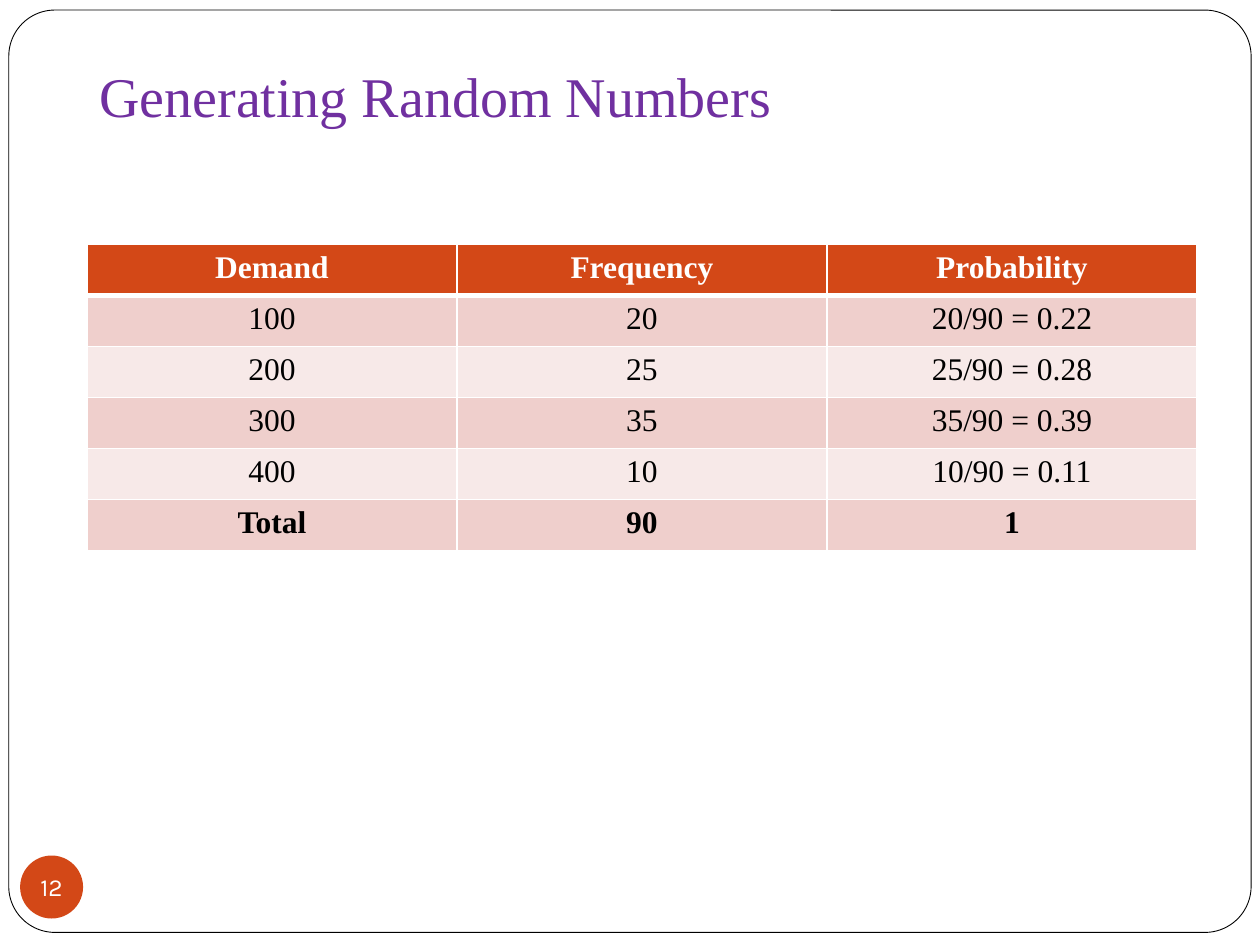
from lxml import etree
from pptx import Presentation
from pptx.dml.color import RGBColor
from pptx.enum.shapes import MSO_SHAPE
from pptx.enum.text import MSO_ANCHOR, PP_ALIGN
from pptx.oxml.ns import qn
from pptx.util import Inches, Pt

ROUNDED, OVAL = MSO_SHAPE.ROUNDED_RECTANGLE, MSO_SHAPE.OVAL
LEFT, CENTER = PP_ALIGN.LEFT, PP_ALIGN.CENTER
MIDDLE, BOTTOM = MSO_ANCHOR.MIDDLE, MSO_ANCHOR.BOTTOM

TITLE = "Generating Random Numbers"
PAGE = "12"
ROWS = [
    ("Demand", "Frequency", "Probability"),
    ("100", "20", "20/90 = 0.22"),
    ("200", "25", "25/90 = 0.28"),
    ("300", "35", "35/90 = 0.39"),
    ("400", "10", "10/90 = 0.11"),
    ("Total", "90", "1"),
]

THEME = {
    "serif": "Times New Roman", "sans": "Karla",
    "white": "FFFFFF", "black": "000000", "title": "7030A0",
    "accent": "D34817", "bands": ("EFCFCC", "F7E9E8"),
    "title_size": 32, "cell_size": 18, "page_size": 14,
    "frame_line": 0.5, "rule": 1, "header_rule": 3,
}
W, H = 10, 7.5
FRAME = (0.07, 0.08, 9.86, 7.32)
TITLE_BOX = (0.69, -0.13, 8.5, 1.25)
BADGE = (0.16, 6.79, 0.5, 0.5)
TABLE = (0.69, 1.94, 8.81, 2.43)


def inches(box):
    return [Inches(v) for v in box]


def rgb(color):
    return RGBColor.from_string(color)


def write(tf, text, size, color, font, align=CENTER, bold=False):
    p = tf.paragraphs[0]
    p.alignment = align
    r = p.add_run()
    r.text = text
    r.font.size = Pt(size)
    r.font.name = font
    r.font.bold = bold
    r.font.color.rgb = rgb(color)


def set_insets(tf, left, top, right, bottom):
    tf.margin_left, tf.margin_top, tf.margin_right, tf.margin_bottom = inches(
        (left, top, right, bottom))


def add_shape(slide, kind, box, fill):
    sp = slide.shapes.add_shape(kind, *inches(box))
    sp.shadow.inherit = False
    sp.fill.solid()
    sp.fill.fore_color.rgb = rgb(fill)
    sp.line.fill.background()
    return sp


def add_borders(cell, widths):
    tc_pr = cell._tc.get_or_add_tcPr()
    for side, width in widths.items():
        ln = etree.SubElement(tc_pr, qn(f"a:ln{side}"), w=str(Pt(width)))
        fill = etree.SubElement(ln, qn("a:solidFill"))
        etree.SubElement(fill, qn("a:srgbClr"), val=THEME["white"])


def add_table(slide):
    n_rows, n_cols = len(ROWS), len(ROWS[0])
    table = slide.shapes.add_table(n_rows, n_cols, *inches(TABLE)).table
    for col in table.columns:
        col.width = Inches(TABLE[2] / n_cols)
    for row in table.rows:
        row.height = Inches(TABLE[3] / n_rows)
    thin, thick = THEME["rule"], THEME["header_rule"]
    for i, values in enumerate(ROWS):
        header = i == 0
        fill = THEME["accent"] if header else THEME["bands"][(i - 1) % 2]
        color = THEME["white"] if header else THEME["black"]
        widths = {"L": thin, "R": thin,
                  "T": thick if i == 1 else thin,
                  "B": thick if header else thin}
        for j, text in enumerate(values):
            cell = table.cell(i, j)
            add_borders(cell, widths)
            cell.fill.solid()
            cell.fill.fore_color.rgb = rgb(fill)
            write(cell.text_frame, text, THEME["cell_size"], color,
                  THEME["serif"], bold=i in (0, n_rows - 1))


def main():
    prs = Presentation()
    prs.slide_width, prs.slide_height = Inches(W), Inches(H)
    slide = prs.slides.add_slide(prs.slide_layouts[6])

    frame = add_shape(slide, ROUNDED, FRAME, THEME["white"])
    frame.adjustments[0] = 0.05
    frame.line.color.rgb = rgb(THEME["black"])
    frame.line.width = Pt(THEME["frame_line"])

    tf = slide.shapes.add_textbox(*inches(TITLE_BOX)).text_frame
    tf.word_wrap = True
    tf.vertical_anchor = BOTTOM
    set_insets(tf, 0.1, 0.05, 0.1, 0.1)
    write(tf, TITLE, THEME["title_size"], THEME["title"], THEME["serif"], LEFT)

    tf = add_shape(slide, OVAL, BADGE, THEME["accent"]).text_frame
    tf.word_wrap = False
    tf.vertical_anchor = MIDDLE
    set_insets(tf, 0, 0, 0, 0)
    write(tf, PAGE, THEME["page_size"], THEME["white"], THEME["sans"])

    add_table(slide)
    prs.save("out.pptx")


if __name__ == "__main__":
    main()
